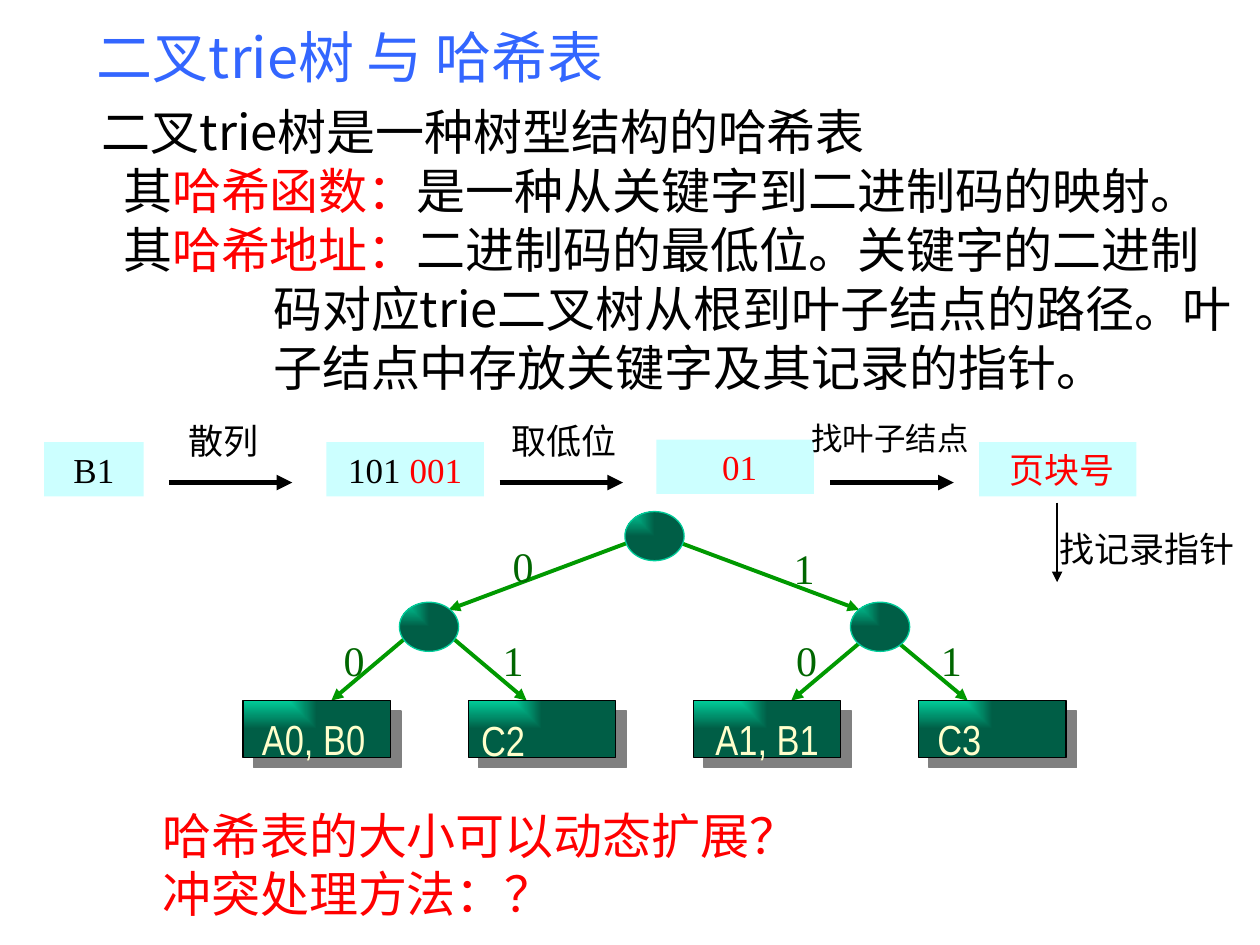
"""Build a slide explaining a binary trie as a tree-shaped hash table."""
from typing import NamedTuple

from lxml import etree
from pptx import Presentation
from pptx import util as u
from pptx.dml.color import RGBColor
from pptx.enum import shapes, text
from pptx.oxml.ns import qn

COLS, ROWS = 100, 75
BLACK = RGBColor(0x00, 0x00, 0x00)
RED = RGBColor(0xFF, 0x00, 0x00)
BLUE = RGBColor(0x33, 0x66, 0xFF)
CYAN = RGBColor(0xCC, 0xFF, 0xFF)
CREAM = RGBColor(0xFF, 0xFF, 0xCC)
EDGE = RGBColor(0x00, 0x99, 0x00)
BIT = RGBColor(0x00, 0x66, 0x00)
JADE = RGBColor(0x00, 0xCC, 0x99)
PINE = RGBColor(0x00, 0x5E, 0x46)
GRAY = RGBColor(0x80, 0x80, 0x80)
SANS, SERIF, NARROW = "Noto Sans CJK SC", "Times New Roman", "Arial Narrow"


class Box(NamedTuple):
    """Left, top, width and height in grid columns and rows."""
    x: float
    y: float
    w: float
    h: float


class Run(NamedTuple):
    """A stretch of text in one colour."""
    words: str
    color: RGBColor = BLACK


class Para(NamedTuple):
    """Runs with a left margin and a first-line indent in columns."""
    runs: list[Run]
    margin: float = 0
    indent: float = 0


class Arrow(NamedTuple):
    """An arrow from one grid point to another."""
    x1: float
    y1: float
    x2: float
    y2: float
    color: RGBColor = BLACK
    width: float = 3


class Label(NamedTuple):
    """A one-line caption."""
    box: Box
    words: str
    size: int = 20


class Leaf(NamedTuple):
    """A leaf page with its keys and the place of their text."""
    keys: str
    text_box: Box


prs = Presentation()
prs.slide_width, prs.slide_height = u.Inches(10), u.Inches(7.5)
s = prs.slides.add_slide(prs.slide_layouts[6])


def col(n: float) -> int:
    """Return the length of n columns."""
    return round(prs.slide_width * n / COLS)


def row(n: float) -> int:
    """Return the length of n rows."""
    return round(prs.slide_height * n / ROWS)


def place(box: Box) -> tuple[int, int, int, int]:
    """Return a grid box as slide lengths."""
    return col(box.x), row(box.y), col(box.w), row(box.h)


def write(sp, paras: list[Para], size: int, font: str, wrap: bool = True,
          align=text.PP_ALIGN.LEFT) -> None:
    """Fill a shape with paragraphs, run by run."""
    tf = sp.text_frame
    tf.word_wrap = wrap
    for i, para in enumerate(paras):
        p = tf.add_paragraph() if i else tf.paragraphs[0]
        p.alignment = align
        pPr = p._p.get_or_add_pPr()
        pPr.set("marL", str(col(para.margin)))
        pPr.set("indent", str(col(para.indent)))
        for run in para.runs:
            r = p.add_run()
            r.text = run.words
            r.font.size, r.font.name = u.Pt(size), font
            r.font.color.rgb = run.color
            etree.SubElement(r._r.get_or_add_rPr(), qn("a:ea"), typeface=SANS)


def add_text(box: Box, paras: list[Para], size: int, font: str, wrap: bool = True) -> None:
    """Add a text box."""
    write(s.shapes.add_textbox(*place(box)), paras, size, font, wrap)


def add_arrow(a: Arrow) -> None:
    """Add a straight connector with an arrowhead at its end."""
    sp = s.shapes.add_connector(shapes.MSO_CONNECTOR.STRAIGHT,
                                col(a.x1), row(a.y1), col(a.x2), row(a.y2))
    sp.line.color.rgb, sp.line.width = a.color, u.Pt(a.width)
    etree.SubElement(sp.line._get_or_add_ln(), qn("a:tailEnd"), type="triangle")
    etree.SubElement(sp._element.spPr, qn("a:effectLst"))


def add_step(box: Box, runs: list[Run], font: str) -> None:
    """Add one pale box of the lookup chain."""
    sp = s.shapes.add_shape(shapes.MSO_SHAPE.RECTANGLE, *place(box))
    sp.shadow.inherit = False
    sp.fill.solid()
    sp.fill.fore_color.rgb = CYAN
    sp.line.fill.background()
    write(sp, [Para(runs)], 20, font, align=text.PP_ALIGN.CENTER)


def add_glossy(kind, box: Box, line: RGBColor, shadow: bool = False) -> None:
    """Add a tree shape shaded from its top left corner."""
    sp = s.shapes.add_shape(kind, *place(box))
    sp.shadow.inherit = False
    sp.fill.gradient()
    for stop, color in zip(sp.fill.gradient_stops, (JADE, PINE)):
        stop.color.rgb = color
    grad = sp._element.spPr.find(qn("a:gradFill"))
    grad.remove(grad.find(qn("a:lin")))
    path = etree.SubElement(grad, qn("a:path"), {"path": "rect"})
    etree.SubElement(path, qn("a:fillToRect"), r="100000", b="100000")
    sp.line.color.rgb, sp.line.width = line, u.Pt(0.75)
    if shadow:
        effects = sp._element.spPr.find(qn("a:effectLst"))
        outer = etree.SubElement(effects, qn("a:outerShdw"), dist=str(u.Pt(8.5)),
                                 dir="2700000", algn="ctr", rotWithShape="0")
        etree.SubElement(outer, qn("a:srgbClr"), val=str(GRAY))


INTRO = [
    Para([Run("二叉trie树是一种树型结构的哈希表")], 15.6, -13.6),
    Para([Run("其"), Run("哈希函数：", RED), Run("是一种从关键字到二进制码的映射。")], 15.6, -11.9),
    Para([Run("其"), Run("哈希地址：", RED),
          Run("二进制码的最低位。关键字的二进制码对应trie二叉树从根到叶子结点的路径。"
              "叶子结点中存放关键字及其记录的指针。")], 15.6, -11.9),
]
QUESTIONS = [Para([Run(q, RED)], 23.5, -21.6) for q in ("哈希表的大小可以动态扩展？", "冲突处理方法：？")]
EDGES = [(33.3, 49.7, 26.3, 55.6), (52.7, 42.6, 68.2, 48.4), (51.1, 42.6, 35.6, 48.4),
         (34.1, 49.1, 41.8, 55.6), (69, 49.1, 76.8, 55.6), (69.8, 49.7, 62.8, 55.6)]
NODES = [(49.6, 40.6), (31.7, 47.8), (67.5, 47.8)]
LEAVES = [Leaf("A0, B0", Box(19.8, 56.1, 10.6, 5)), Leaf("C2", Box(37.2, 56.2, 5.5, 5)),
          Leaf("A1, B1", Box(55.8, 56.1, 10.6, 5)), Leaf("C3", Box(73.4, 56.1, 5.5, 5))]
BITS = [("0", 39.7, 42.4), ("1", 62, 42.6), ("0", 26.3, 49.9),
        ("1", 38.9, 49.9), ("0", 62.2, 49.9), ("1", 73.7, 49.9)]
STEPS = [(Box(3.5, 35.1, 7.9, 4.3), [Run("B1")], SERIF),
         (Box(25.9, 35.1, 12.5, 4.3), [Run("101 "), Run("001", RED)], SERIF),
         (Box(52.1, 34.9, 12.5, 4.3), [Run(" "), Run("01", RED)], SERIF),
         (Box(77.7, 35.1, 12.5, 4.3), [Run(" "), Run("页块号", RED)], SANS)]
CAPTIONS = [Label(Box(14, 32.8, 8.5, 4.3), "散列"), Label(Box(39.6, 32.8, 11.2, 4.3), "取低位"),
            Label(Box(63.4, 32.8, 16.3, 4), "找叶子结点", 18),
            Label(Box(83.1, 41.4, 16.9, 4.3), "找记录指针")]

add_text(Box(5.1, 7.6, 94.9, 24.4), INTRO, 28, SANS)
add_text(Box(6.7, 1.3, 68.5, 6.3), [Para([Run("二叉trie树 与 哈希表", BLUE)])], 32, SANS)
for edge in EDGES:
    add_arrow(Arrow(*edge, EDGE, 2.25))
for x, y in NODES:
    add_glossy(shapes.MSO_SHAPE.OVAL, Box(x, y, 4.7, 3.9), JADE)
for i, leaf in enumerate(LEAVES):
    add_glossy(shapes.MSO_SHAPE.RECTANGLE, Box(19.3 + 17.87 * i, 55.6, 11.7, 4.5), BLACK, True)
    add_text(leaf.text_box, [Para([Run(leaf.keys, CREAM)])], 24, NARROW, False)
for bit, x, y in BITS:
    add_text(Box(x, y, 3.7, 5), [Para([Run(bit, BIT)])], 24, SERIF, False)
add_text(Box(10, 63.4, 74.7, 10.3), QUESTIONS, 28, SANS)
for step in STEPS:
    add_step(*step)
for i in range(3):
    add_arrow(Arrow(13.4 + 26.25 * i, 38.3, 23.2 + 26.25 * i, 38.3))
for label in CAPTIONS:
    add_text(label.box, [Para([Run(label.words)])], label.size, SERIF)
add_arrow(Arrow(83.9, 39.9, 83.9, 46.2, BLACK, 0.75))
prs.save("out.pptx")
